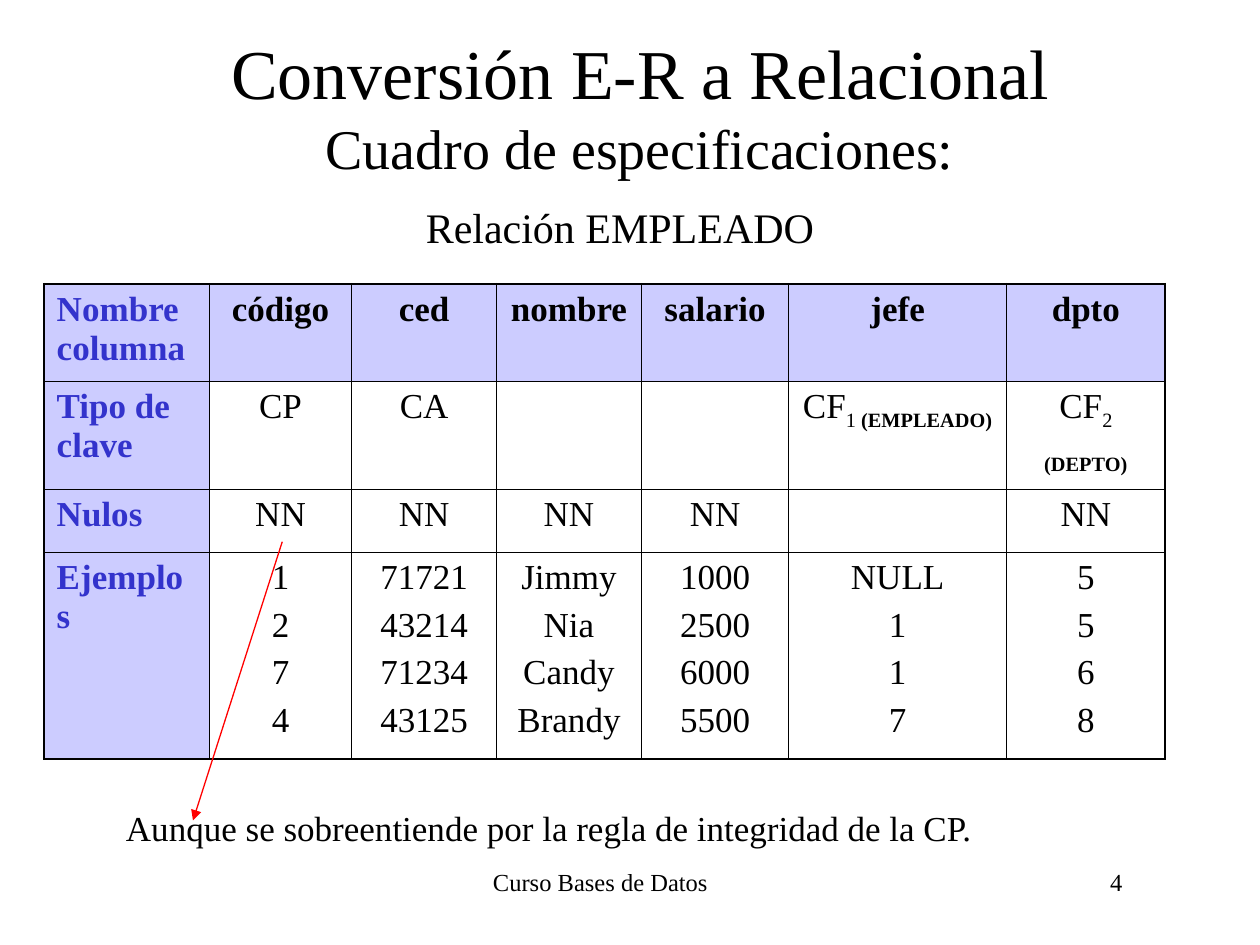
from dataclasses import dataclass
from lxml.etree import SubElement
from pptx import Presentation
from pptx.dml.color import RGBColor
from pptx.enum.shapes import MSO_CONNECTOR
from pptx.enum.text import MSO_ANCHOR, MSO_AUTO_SIZE, PP_ALIGN
from pptx.oxml.ns import qn
from pptx.util import Cm, Pt

FACE = "Times New Roman"
BLACK, BLUE, PALE, RED = "000000", "3333CC", "CCCCFF", "FF0000"
LEFT, MID, RIGHT = PP_ALIGN.LEFT, PP_ALIGN.CENTER, PP_ALIGN.RIGHT


@dataclass
class Label:
    left: float
    top: float
    width: float
    height: float
    lines: list[tuple[str, int]]
    align: PP_ALIGN = MID
    anchor: MSO_ANCHOR = MSO_ANCHOR.TOP
    space: int = 0
    wrap: bool = True
    grow: bool = False


@dataclass
class Key:
    base: str
    index: str
    target: str


LABELS = [
    Label(8.08, 17.35, 8.05, 1.27, [("Curso Bases de Datos", 14)]),
    Label(17.6, 17.35, 5.28, 1.27, [("4", 14)], align=RIGHT),
    Label(2.11, 0.53, 21.59, 3.18,
          [("Conversión E-R a Relacional", 40), ("Cuadro de especificaciones:", 32)],
          anchor=MSO_ANCHOR.MIDDLE),
    Label(2.29, 16.13, 17.63, 1.12,
          [("Aunque se sobreentiende por la regla de integridad de la CP.", 20)],
          align=LEFT, wrap=False, grow=True),
    Label(4.7, 3.94, 15.6, 1.27, [("Relación EMPLEADO", 24)], space=15, grow=True),
]
WIDTHS = [3.33, 2.87, 2.92, 2.92, 2.97, 4.39, 3.2]
HEIGHTS = [1.96, 2.18, 1.27, 4.17]
ROWS = [
    ["Nombre columna", "código", "ced", "nombre", "salario", "jefe", "dpto"],
    ["Tipo de clave", "CP", "CA", "", "",
     Key("CF", "1 ", "(EMPLEADO)"), Key("CF", "2 ", "(DEPTO)")],
    ["Nulos", "NN", "NN", "NN", "NN", "", "NN"],
    ["Ejemplos", "1\n2\n7\n4", "71721\n43214\n71234\n43125",
     "Jimmy\nNia\nCandy\nBrandy", "1000\n2500\n6000\n5500",
     "NULL\n1\n1\n7", "5\n5\n6\n8"],
]


def shade(code: str) -> RGBColor:
    return RGBColor.from_string(code)


def style(font, size: int, color: str = BLACK) -> None:
    font.name = FACE
    font.size = Pt(size)
    font.color.rgb = shade(color)


def draw_label(slide, label: Label) -> None:
    box = slide.shapes.add_textbox(
        Cm(label.left), Cm(label.top), Cm(label.width), Cm(label.height))
    frame = box.text_frame
    frame.word_wrap = label.wrap
    frame.vertical_anchor = label.anchor
    frame.auto_size = MSO_AUTO_SIZE.SHAPE_TO_FIT_TEXT if label.grow else MSO_AUTO_SIZE.NONE
    para = frame.paragraphs[0]
    para.alignment = label.align
    para.space_before = Pt(label.space)
    for i, (text, size) in enumerate(label.lines):
        if i:
            para.add_line_break()
        run = para.add_run()
        run.text = text
        style(run.font, size)


def draw_edge(cell, side: str, width: float) -> None:
    props = cell._tc.get_or_add_tcPr()
    edge = SubElement(props, qn(f"a:ln{side}"), w=str(Pt(width)))
    fill = SubElement(edge, qn("a:solidFill"))
    SubElement(fill, qn("a:srgbClr"), val=BLACK)


def fill_key(para, key: Key) -> None:
    for text in (key.base, key.index, key.target):
        run = para.add_run()
        run.text = text
        run.font.bold = text == key.target
        if text != key.base:
            run._r.get_or_add_rPr().set("baseline", "-25000")


def draw_cell(cell, value: str | Key, row: int, col: int) -> None:
    outer = {"L": col == 0, "R": col == len(WIDTHS) - 1,
             "T": row == 0, "B": row == len(HEIGHTS) - 1}
    for side, thick in outer.items():
        draw_edge(cell, side, 1.08 if thick else 0.45)
    head = row == 0 or col == 0
    if head:
        cell.fill.solid()
        cell.fill.fore_color.rgb = shade(PALE)
    else:
        cell.fill.background()
    frame = cell.text_frame
    if isinstance(value, Key):
        fill_key(frame.paragraphs[0], value)
    else:
        frame.text = value
    for para in frame.paragraphs:
        para.alignment = MID if col else LEFT
        para.space_before = Pt(5)
        style(para.font, 20, BLACK if col else BLUE)
        if not isinstance(value, Key):
            para.font.bold = head


def draw_table(slide) -> None:
    table = slide.shapes.add_table(
        len(HEIGHTS), len(WIDTHS), Cm(0.89), Cm(5.72),
        Cm(sum(WIDTHS)), Cm(sum(HEIGHTS))).table
    table.first_row = table.horz_banding = False
    for col, width in zip(table.columns, WIDTHS):
        col.width = Cm(width)
    for row, height in zip(table.rows, HEIGHTS):
        row.height = Cm(height)
    for i, values in enumerate(ROWS):
        for j, value in enumerate(values):
            draw_cell(table.cell(i, j), value, i, j)


def draw_arrow(slide) -> None:
    arrow = slide.shapes.add_connector(
        MSO_CONNECTOR.STRAIGHT, Cm(5.69), Cm(10.92), Cm(3.89), Cm(16.54))
    arrow.line.color.rgb = shade(RED)
    arrow.line.width = Pt(0.74)
    SubElement(arrow.line._get_or_add_ln(), qn("a:tailEnd"), type="triangle")
    SubElement(arrow._element.spPr, qn("a:effectLst"))


deck = Presentation()
deck.slide_width, deck.slide_height = Cm(25.4), Cm(19.05)
slide = deck.slides.add_slide(deck.slide_layouts[6])
draw_table(slide)
for label in LABELS:
    draw_label(slide, label)
draw_arrow(slide)
deck.save("out.pptx")
